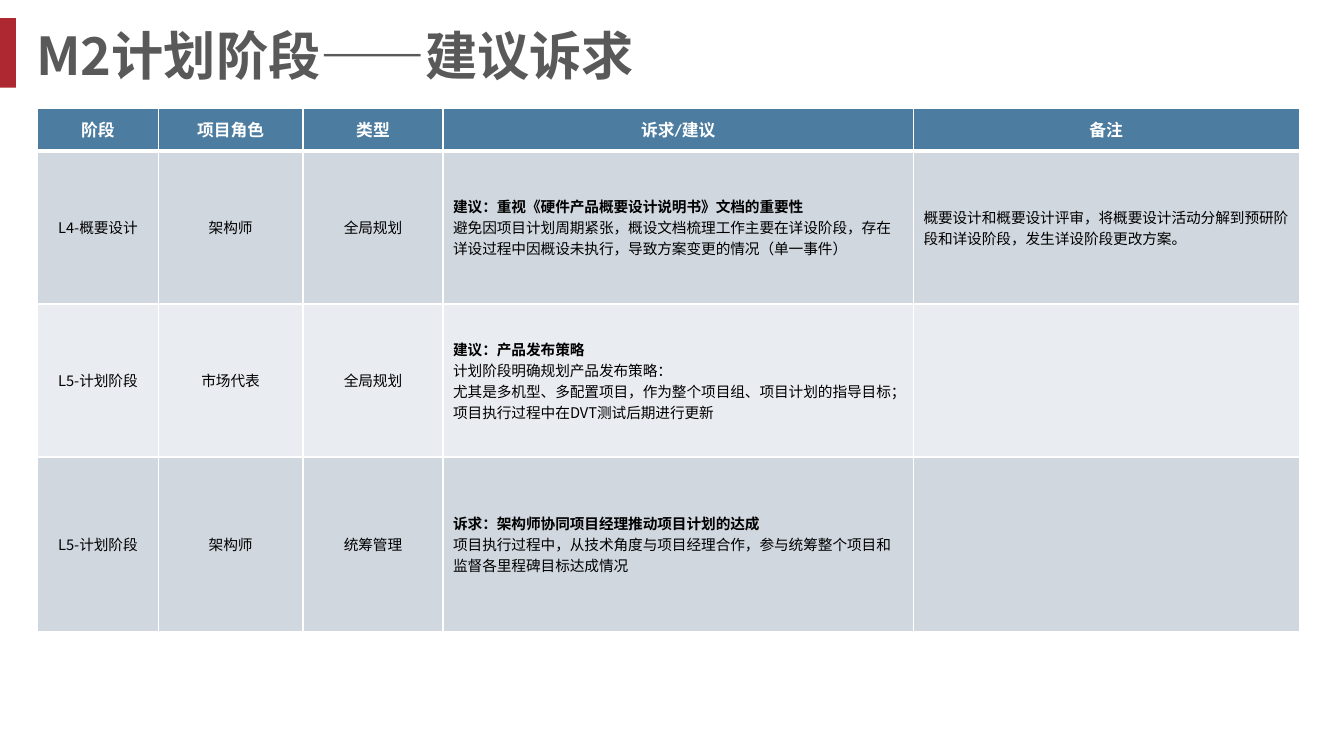
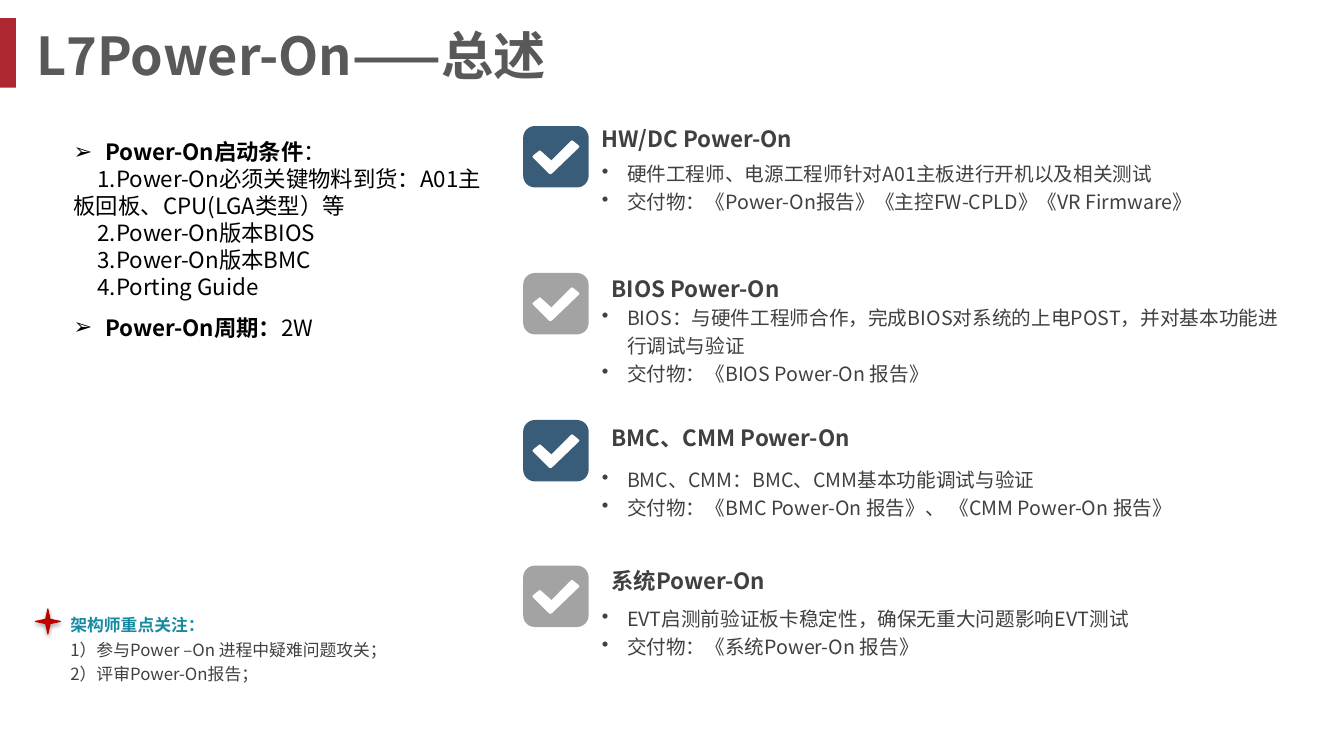
from dataclasses import dataclass
from math import cos, radians, sin

from lxml import etree
from pptx import Presentation
from pptx.dml.color import RGBColor
from pptx.enum.shapes import MSO_SHAPE
from pptx.enum.text import MSO_ANCHOR, MSO_AUTO_SIZE, PP_ALIGN
from pptx.oxml.ns import qn
from pptx.util import Pt

RECT, STAR = MSO_SHAPE.RECTANGLE, MSO_SHAPE.STAR_4_POINT
TOP, MIDDLE = MSO_ANCHOR.TOP, MSO_ANCHOR.MIDDLE
LEFT, CENTER = PP_ALIGN.LEFT, PP_ALIGN.CENTER
FIXED = MSO_AUTO_SIZE.NONE
TITLE_CONTENT, TITLE_ONLY = 1, 5


@dataclass(frozen=True)
class Theme:
    """Colours, fonts and type sizes of the deck."""
    font: str = "Noto Sans CJK SC"
    header_font: str = "Calibri"
    band: str = "AD2830"
    title: str = "595959"
    text: str = "404040"
    black: str = "000000"
    white: str = "FFFFFF"
    header: str = "4C7CA0"
    rows: tuple = ("D0D7DF", "E9ECF0")
    icons: tuple = ("395D78", "A3A3A3")
    note: str = "178AA1"
    star: str = "C00000"
    title_size: float = 37.3
    head_size: float = 16
    list_size: float = 14
    note_size: float = 12
    cell_size: float = 10.5


def rgb(value):
    """Return the colour for a hex string."""
    return RGBColor.from_string(value)


class Deck:
    """Holds the theme and the current slide, and draws its elements."""

    CHECK = [(39.6, 15.8), (40.3, 14.8), (39.6, 13.7), (36, 10.8), (34.9, 10.1),
             (33.8, 10.8), (20.2, 24.5), (13, 18), (11.9, 17.3), (10.8, 18),
             (7.2, 20.9), (6.5, 22), (7.2, 23), (18, 33.8), (19.4, 34.6), (20.9, 33.8)]

    def __init__(self, theme):
        """Open an empty wide presentation."""
        self.t = theme
        self.prs = Presentation()
        self.prs.slide_width, self.prs.slide_height = Pt(960), Pt(540)
        self.s = None

    def slide(self, title, layout):
        """Add a slide with the red band and its title."""
        self.s = self.prs.slides.add_slide(self.prs.slide_layouts[layout])
        self.shape(RECT, 0, 13, 11.3, 49.7, self.t.band)
        tf = self.place(self.s.shapes.title, 18.7, 13, 778, 52.6, MIDDLE, (7.2, 0))
        self.para(tf.paragraphs[0], [(title, True)], self.t.title_size, self.t.title)

    def place(self, sp, x, y, w, h, anchor=TOP, inset=(7.2, 3.6)):
        """Move a text shape, set its frame and return the frame."""
        sp.left, sp.top, sp.width, sp.height = Pt(x), Pt(y), Pt(w), Pt(h)
        tf = sp.text_frame
        tf.word_wrap, tf.auto_size, tf.vertical_anchor = True, FIXED, anchor
        tf.margin_left = tf.margin_right = Pt(inset[0])
        tf.margin_top = tf.margin_bottom = Pt(inset[1])
        return tf

    def textbox(self, x, y, w, h, anchor=TOP, inset=(9.4, 5)):
        """Add a text box and return its frame."""
        sp = self.s.shapes.add_textbox(Pt(x), Pt(y), Pt(w), Pt(h))
        return self.place(sp, x, y, w, h, anchor, inset)

    def para(self, p, runs, size, color, align=LEFT, leading=None, bullet=None,
             margin=0, indent=0, font=None):
        """Format a paragraph and add its (text, bold) runs."""
        p.alignment, p.space_before = align, Pt(0)
        p.line_spacing = Pt(leading) if leading else 1.0
        pPr = p._p.get_or_add_pPr()
        pPr.set("marL", str(Pt(margin)))
        pPr.set("indent", str(Pt(indent)))
        bu = etree.SubElement(pPr, qn("a:buChar" if bullet else "a:buNone"))
        if bullet:
            bu.set("char", bullet)
        for text, bold in runs:
            r = p.add_run()
            r.text = text
            r.font.size, r.font.bold = Pt(size), bold
            r.font.color.rgb = rgb(color)
            r.font.name = font or self.t.font
            etree.SubElement(r._r.get_or_add_rPr(), qn("a:ea")).set("typeface", self.t.font)

    def paras(self, tf, items):
        """Fill a frame from (runs, options) pairs."""
        for i, (runs, options) in enumerate(items):
            p = tf.add_paragraph() if i else tf.paragraphs[0]
            self.para(p, runs, **options)

    def paint(self, sp, fill):
        """Give a shape a plain fill without line or shadow."""
        sp.shadow.inherit = False
        sp.fill.solid()
        sp.fill.fore_color.rgb = rgb(fill)
        sp.line.fill.background()
        return sp

    def shape(self, kind, x, y, w, h, fill):
        """Add a filled preset shape."""
        return self.paint(self.s.shapes.add_shape(kind, Pt(x), Pt(y), Pt(w), Pt(h)), fill)

    def star(self, x, y, size):
        """Add the red marker star with its soft shadow."""
        sp = self.shape(STAR, x, y, size, size, self.t.star)
        sp.line.color.rgb, sp.line.width = rgb(self.t.star), Pt(0.75)
        shadow = etree.SubElement(
            sp._element.spPr.find(qn("a:effectLst")), qn("a:outerShdw"),
            blurRad=str(Pt(3.1)), dist=str(Pt(1.8)), dir="5400000", rotWithShape="0")
        color = etree.SubElement(shadow, qn("a:srgbClr"), val=self.t.black)
        etree.SubElement(color, qn("a:alpha"), val="35000")

    def check(self, x, y, fill, w=46.8, h=43.9, radius=8.4):
        """Add a rounded tile with a tick cut out of it."""
        corners = [(w - radius, h - radius, 0), (radius, h - radius, 90),
                   (radius, radius, 180), (w - radius, radius, 270)]
        tile = [(cx + radius * cos(radians(start + step)),
                 cy + radius * sin(radians(start + step)))
                for cx, cy, start in corners for step in range(0, 91, 15)]
        tile, tick = ([(Pt(x + dx), Pt(y + dy)) for dx, dy in points]
                      for points in (tile, self.CHECK))
        builder = self.s.shapes.build_freeform(*tile[0])
        builder.add_line_segments(tile[1:], close=True)
        builder.move_to(*tick[0])
        builder.add_line_segments(tick[1:], close=True)
        self.paint(builder.convert_to_shape(), fill)

    def section(self, heading, lines, icon_y, head_x, head_y, list_y, list_w, fill):
        """Add a tick, a heading and its bulleted lines."""
        tf = self.textbox(head_x, head_y, 282, 36.7, MIDDLE)
        self.para(tf.paragraphs[0], [(heading, True)], self.t.head_size, self.t.text)
        options = dict(size=self.t.list_size, color=self.t.text, leading=20,
                       bullet="•", margin=18, indent=-18)
        self.paras(self.textbox(420.5, list_y, list_w, 60),
                   [([(line, False)], options) for line in lines])
        self.check(373.7, icon_y, fill)

    def borders(self, cell, bottom):
        """Draw white cell borders with the given bottom width."""
        tcPr = cell._tc.get_or_add_tcPr()
        for i, (side, width) in enumerate((("L", 1), ("R", 1), ("T", 1), ("B", bottom))):
            ln = etree.Element(qn("a:ln" + side), w=str(Pt(width)))
            fill = etree.SubElement(ln, qn("a:solidFill"))
            etree.SubElement(fill, qn("a:srgbClr"), val=self.t.white)
            tcPr.insert(i, ln)

    def table(self, x, y, widths, heights, header, rows):
        """Add a table whose cells are lists of lines."""
        t = self.t
        table = self.s.shapes.add_table(len(heights), len(widths), Pt(x), Pt(y),
                                        Pt(sum(widths)), Pt(sum(heights))).table
        for column, width in zip(table.columns, widths):
            column.width = Pt(width)
        for row, height in zip(table.rows, heights):
            row.height = Pt(height)
        for i, row in enumerate([header] + rows):
            for j, lines in enumerate(row):
                cell = table.cell(i, j)
                cell.vertical_anchor = MIDDLE
                cell.fill.solid()
                cell.fill.fore_color.rgb = rgb(t.rows[(i - 1) % 2] if i else t.header)
                self.borders(cell, 1 if i else 3)
                if i:
                    options = dict(size=t.cell_size, color=t.black,
                                   align=CENTER if j < 3 else LEFT)
                else:
                    options = dict(size=t.note_size, color=t.white, align=CENTER,
                                   font=t.header_font)
                self.paras(cell.text_frame,
                           [([(line, i == 0 or (j == 3 and k == 0))], options)
                            for k, line in enumerate(lines)])


def requests_slide(deck):
    """Build the table of requests in the planning stage."""
    deck.slide("M2计划阶段——建议诉求", TITLE_ONLY)
    header = [["阶段"], ["项目角色"], ["类型"], ["诉求/建议"], ["备注"]]
    rows = [
        [["L4-概要设计"], ["架构师"], ["全局规划"],
         ["建议：重视《硬件产品概要设计说明书》文档的重要性",
          "避免因项目计划周期紧张，概设文档梳理工作主要在详设阶段，存在详设过程中因概设未执行，导致方案变更的情况（单一事件）"],
         ["概要设计和概要设计评审，将概要设计活动分解到预研阶段和详设阶段，发生详设阶段更改方案。"]],
        [["L5-计划阶段"], ["市场代表"], ["全局规划"],
         ["建议：产品发布策略",
          "计划阶段明确规划产品发布策略：",
          "尤其是多机型、多配置项目，作为整个项目组、项目计划的指导目标；",
          "项目执行过程中在DVT测试后期进行更新"], []],
        [["L5-计划阶段"], ["架构师"], ["统筹管理"],
         ["诉求：架构师协同项目经理推动项目计划的达成",
          "项目执行过程中，从技术角度与项目经理合作，参与统筹整个项目和监督各里程碑目标达成情况"], []],
    ]
    deck.table(27, 77.5, [86, 103.5, 100, 336, 275.5], [30.2, 109.4, 109.4, 124.5],
               header, rows)


def overview_slide(deck):
    """Build the overview of the power-on stage."""
    t = deck.t
    deck.slide("L7Power-On——总述", TITLE_CONTENT)
    plain = dict(size=t.head_size, color=t.black, leading=19.3, indent=17)
    point = dict(plain, leading=28.8, bullet="➢", margin=22.5, indent=-22.5)
    conditions = ["1.Power-On必须关键物料到货：A01主板回板、CPU(LGA类型）等",
                  "2.Power-On版本BIOS", "3.Power-On版本BMC", "4.Porting Guide"]
    tf = deck.place(deck.s.placeholders[1], 45.4, 85.7, 311.8, 162.7)
    deck.paras(tf, [([("Power-On启动条件", True), ("：", False)], point)]
               + [([(line, False)], plain) for line in conditions]
               + [([("Power-On周期：", True), ("2W", False)], point)])

    sections = [
        ("HW/DC Power-On",
         ["硬件工程师、电源工程师针对A01主板进行开机以及相关测试",
          "交付物：《Power-On报告》《主控FW-CPLD》《VR Firmware》"],
         90, 420.5, 80.6, 107.3, 533),
        ("BIOS Power-On",
         ["BIOS：与硬件工程师合作，完成BIOS对系统的上电POST，并对基本功能进行调试与验证",
          "交付物：《BIOS Power-On 报告》"],
         195, 427.5, 187.9, 210.2, 507.6),
        ("BMC、CMM Power-On",
         ["BMC、CMM：BMC、CMM基本功能调试与验证",
          "交付物：《BMC Power-On 报告》、 《CMM Power-On 报告》"],
         300, 427.5, 294.5, 326.2, 526),
        ("系统Power-On",
         ["EVT启测前验证板卡稳定性，确保无重大问题影响EVT测试",
          "交付物：《系统Power-On 报告》"],
         404, 427.5, 396.3, 425.5, 492.5),
    ]
    for i, section in enumerate(sections):
        deck.section(*section, t.icons[i % 2])

    note = dict(size=t.note_size, color=t.text, leading=17.5)
    deck.paras(deck.textbox(43.2, 432.7, 368.6, 59.8, inset=(7.2, 3.6)), [
        ([("架构师重点关注：", True)], dict(note, color=t.note)),
        ([("1）参与Power –On 进程中疑难问题攻关；", False)], note),
        ([("2）评审Power-On报告；", False)], note)])
    deck.star(25.2, 434.9, 18)


def main():
    """Build and save the presentation."""
    deck = Deck(Theme())
    requests_slide(deck)
    overview_slide(deck)
    deck.prs.save("out.pptx")


if __name__ == "__main__":
    main()
